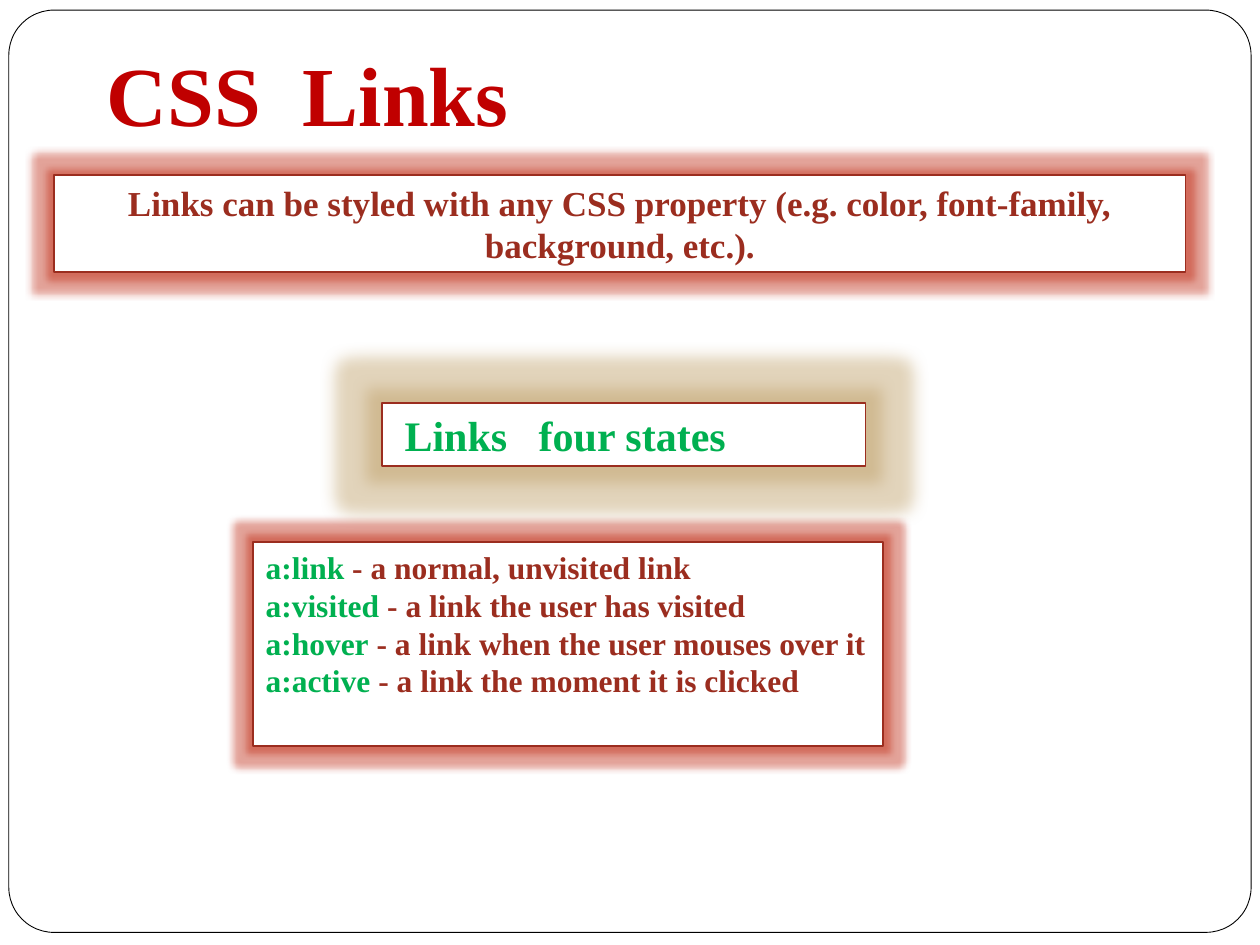
import pptx
import pptx.util
import pptx.dml.color
import pptx.enum.shapes
import pptx.enum.text
import pptx.oxml
import pptx.oxml.ns

THEME = {
    "font": "Times New Roman", "paper": "FFFFFF", "frame": "000000",
    "title": "C00000", "title edge": "B41A06", "rust": "9B2D1F", "green": "00B050",
    "red glow": "BA1900", "tan glow": "B79455",
    "title size": 48, "states size": 24, "intro size": 20, "list size": 18,
}
LEFT = pptx.enum.text.PP_ALIGN.LEFT
CENTER = pptx.enum.text.PP_ALIGN.CENTER
SHAPES = pptx.enum.shapes.MSO_SHAPE
NS = pptx.oxml.ns.nsdecls("a")


def add_panel(kind, place, line, weight, glow=None, radius=0):
    """Add a white outlined panel, with a soft glow around it if one is named."""
    panel = slide.shapes.add_shape(kind, *map(pptx.util.Inches, place))
    panel.shadow.inherit = False
    panel.fill.solid()
    panel.fill.fore_color.rgb = pptx.dml.color.RGBColor.from_string(THEME["paper"])
    panel.line.color.rgb = pptx.dml.color.RGBColor.from_string(THEME[line])
    panel.line.width = pptx.util.Pt(weight)
    if glow:
        effects = panel._element.spPr.find(pptx.oxml.ns.qn("a:effectLst"))
        effects.append(pptx.oxml.parse_xml(
            f'<a:glow {NS} rad="{pptx.util.Pt(radius)}"><a:srgbClr val="{THEME[glow]}">'
            '<a:alpha val="40000"/></a:srgbClr></a:glow>'))
    return panel


def write(holder, paragraphs, size, align=LEFT):
    """Fill a shape with paragraphs, each a list of (text, colour) runs."""
    frame = holder.text_frame
    frame.word_wrap = True
    frame.vertical_anchor = pptx.enum.text.MSO_ANCHOR.TOP
    for index, runs in enumerate(paragraphs):
        paragraph = frame.add_paragraph() if index else frame.paragraphs[0]
        paragraph.alignment = align
        for text, colour in runs:
            run = paragraph.add_run()
            run.text = text
            run.font.name = THEME["font"]
            run.font.size = pptx.util.Pt(THEME[size])
            run.font.bold = True
            run.font.color.rgb = pptx.dml.color.RGBColor.from_string(THEME[colour])


deck = pptx.Presentation()
deck.slide_width = pptx.util.Inches(10)
deck.slide_height = pptx.util.Inches(7.5)
slide = deck.slides.add_slide(deck.slide_layouts[6])

border = add_panel(SHAPES.ROUNDED_RECTANGLE, (0.07, 0.08, 9.86, 7.32), "frame", 0.5)
border.adjustments[0] = 0.049

title = slide.shapes.add_textbox(*map(pptx.util.Inches, (0.75, 0.29, 4.65, 0.91)))
write(title, [[("CSS  Links ", "title")]], "title size")
title_font = title.text_frame.paragraphs[0].runs[0]._r.get_or_add_rPr()
title_font.insert(0, pptx.oxml.parse_xml(
    f'<a:ln {NS} w="{pptx.util.Pt(1.42)}"><a:solidFill>'
    f'<a:srgbClr val="{THEME["title edge"]}"/></a:solidFill></a:ln>'))

intro = add_panel(SHAPES.RECTANGLE, (0.43, 1.39, 8.98, 0.77), "rust", 1, "red glow", 8)
write(intro, [[("Links can be styled with any CSS property (e.g. color, font-family, "
                "background, etc.).", "rust")]], "intro size", CENTER)

states = {
    "a:link": "a normal, unvisited link",
    "a:visited": "a link the user has visited",
    "a:hover": "a link when the user mouses over it",
    "a:active": "a link the moment it is clicked",
}
state_list = add_panel(SHAPES.RECTANGLE, (2.01, 4.3, 5, 1.62), "rust", 1, "red glow", 8)
write(state_list, [[(selector, "green"), (f" - {meaning}", "rust")]
                   for selector, meaning in states.items()], "list size")

heading = add_panel(SHAPES.RECTANGLE, (3.03, 3.2, 3.84, 0.5), "rust", 1, "tan glow", 18)
write(heading, [[(" Links  \u00a0four states", "green")]], "states size")

deck.save("out.pptx")
